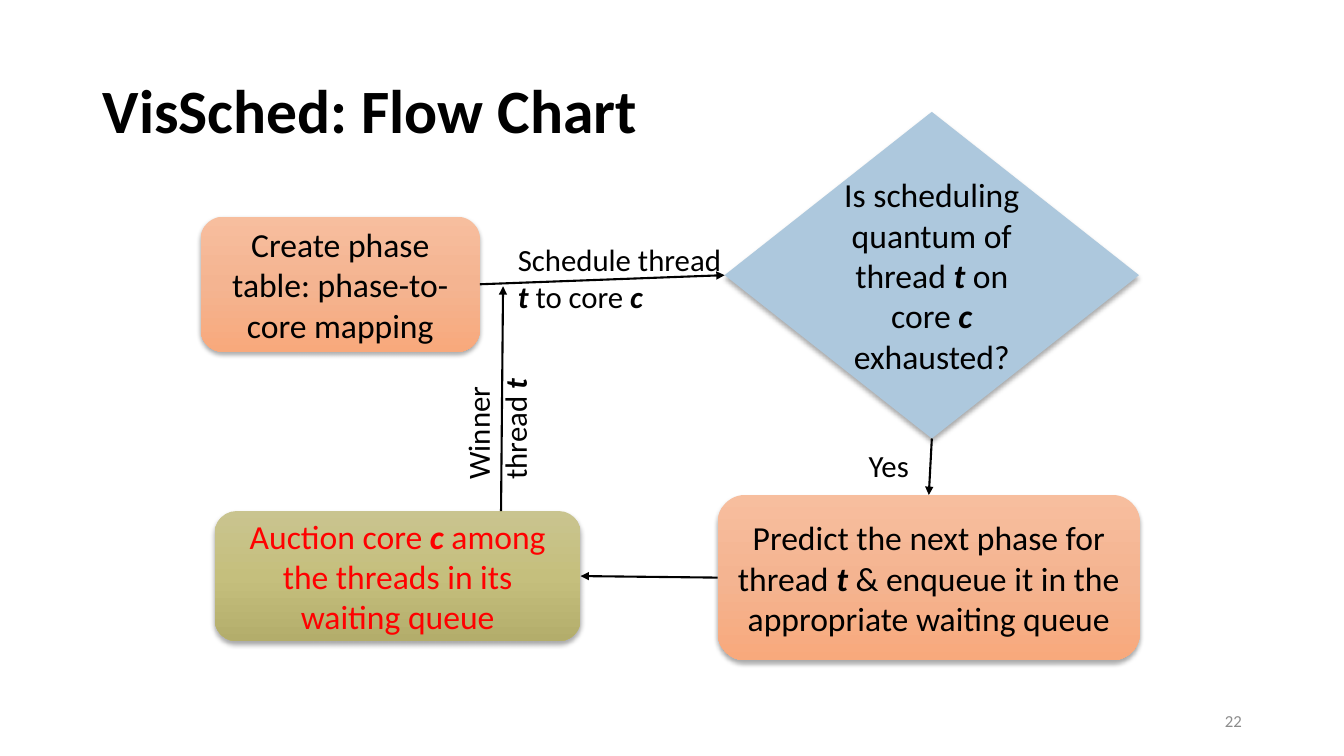
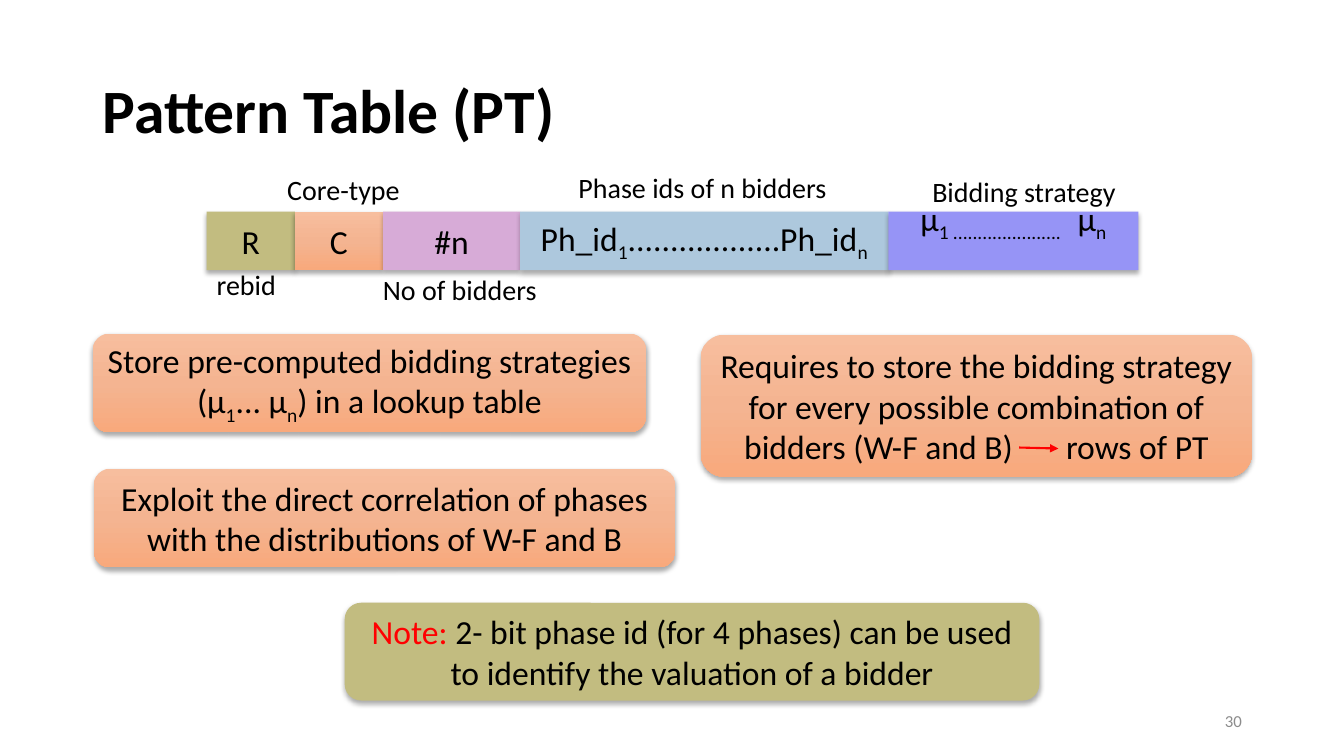
from copy import deepcopy
from dataclasses import dataclass

from pptx import Presentation
from pptx.dml.color import RGBColor
from pptx.enum.shapes import MSO_CONNECTOR, MSO_SHAPE
from pptx.enum.text import MSO_ANCHOR, MSO_AUTO_SIZE, PP_ALIGN
from pptx.oxml import parse_xml
from pptx.oxml.ns import nsdecls, qn
from pptx.util import Inches, Pt

# Colours: a fill is one colour, or three for a vertical gradient
BLACK = RGBColor(0x00, 0x00, 0x00)
RED = RGBColor(0xFF, 0x00, 0x00)
GREY = RGBColor(0x8C, 0x8C, 0x8C)
BLUE = RGBColor(0xAD, 0xC8, 0xDD)
OLIVE = RGBColor(0xC2, 0xBC, 0x80)
PINK = RGBColor(0xD7, 0xAB, 0xD7)
VIOLET = RGBColor(0x96, 0x94, 0xF6)
ORANGE_SHADES = (RGBColor(0xF7, 0xBE, 0x9E), RGBColor(0xF4, 0xB4, 0x91), RGBColor(0xF8, 0xA9, 0x7C))
OLIVE_SHADES = (RGBColor(0xC9, 0xC4, 0x8F), RGBColor(0xC5, 0xBF, 0x7D), RGBColor(0xB3, 0xAD, 0x6B))

# Connection sites of a shape
TOP, LEFT, BOTTOM, RIGHT = range(4)

SHADOW = (
    f'<a:outerShdw {nsdecls("a")} blurRad="44450" dist="27940" dir="5400000" algn="ctr" rotWithShape="0">'
    '<a:srgbClr val="000000"><a:alpha val="32000"/></a:srgbClr></a:outerShdw>'
)
ARROWHEAD = f'<a:tailEnd {nsdecls("a")} type="triangle"/>'
NO_EFFECTS = f'<a:effectLst {nsdecls("a")}/>'


@dataclass
class Run:
    text: str
    variable: bool = False
    subscript: bool = False
    color: RGBColor = None
    spacing: float = 0


def variable(text):
    return Run(text, variable=True)


def subscript(text):
    return Run(text, subscript=True)


def gap(points):
    """One space widened by the given number of points."""
    return Run(" ", spacing=points)


class Deck:
    """Holds the style and the current slide; lengths are percent of the slide."""

    FONT = "Calibri"
    TITLE, BODY, LABEL, CAPTION, NUMBER = 44, 24, 22, 20, 12

    def __init__(self):
        self.presentation = Presentation()
        self.presentation.slide_width = Inches(13.33)
        self.presentation.slide_height = Inches(7.5)
        self.slide = None

    def x(self, share):
        return round(self.presentation.slide_width * share / 100)

    def y(self, share):
        return round(self.presentation.slide_height * share / 100)

    def frame(self, left, top, width, height):
        return self.x(left), self.y(top), self.x(width), self.y(height)

    def new_slide(self, title, number):
        self.slide = self.presentation.slides.add_slide(self.presentation.slide_layouts[6])
        heading = self.text((6.9, 5.33, 86.25, 19.33), [[title]], self.TITLE, anchor=MSO_ANCHOR.MIDDLE)
        paragraph = heading.text_frame.paragraphs[0]
        paragraph.line_spacing = 0.9
        paragraph.runs[0].font.bold = True
        self.text((70.65, 92.67, 22.5, 5.33), [[number]], self.NUMBER, GREY,
                  PP_ALIGN.RIGHT, MSO_ANCHOR.MIDDLE)

    def add_paragraphs(self, text_frame, paragraphs, size, color, align):
        for index, runs in enumerate(paragraphs):
            paragraph = text_frame.paragraphs[0] if index == 0 else text_frame.add_paragraph()
            paragraph.alignment = align
            for item in runs:
                style = item if isinstance(item, Run) else Run(item)
                run = paragraph.add_run()
                run.text = style.text
                font = run.font
                font.name, font.size = self.FONT, Pt(size)
                font.color.rgb = style.color or color
                if style.variable:
                    font.bold = font.italic = True
                properties = run._r.get_or_add_rPr()
                if style.subscript:
                    properties.set("baseline", "-25000")
                if style.spacing:
                    properties.set("spc", str(round(style.spacing * 100)))

    def text(self, place, paragraphs, size, color=BLACK, align=PP_ALIGN.LEFT, anchor=MSO_ANCHOR.TOP):
        box = self.slide.shapes.add_textbox(*self.frame(*place))
        box.text_frame.word_wrap = True
        box.text_frame.vertical_anchor = anchor
        self.add_paragraphs(box.text_frame, paragraphs, size, color, align)
        return box

    def label(self, place, runs, rotation=0):
        box = self.text(place, [runs], self.LABEL)
        box.text_frame.auto_size = MSO_AUTO_SIZE.SHAPE_TO_FIT_TEXT
        box.rotation = rotation

    def caption(self, left, top, width, words):
        box = self.text((left, top, width, 5.87), [[words]], self.CAPTION)
        box.text_frame.word_wrap = False
        box.text_frame.auto_size = MSO_AUTO_SIZE.SHAPE_TO_FIT_TEXT

    def paint(self, shape, fill):
        if isinstance(fill, RGBColor):
            shape.fill.solid()
            shape.fill.fore_color.rgb = fill
            return
        shape.fill.gradient()
        shape.fill.gradient_angle = 270
        stop_list = shape.element.spPr.find(f'{qn("a:gradFill")}/{qn("a:gsLst")}')
        stop_list.insert(1, deepcopy(stop_list[0]))
        for stop, position, shade in zip(shape.fill.gradient_stops, (0, 0.5, 1), fill):
            stop.position = position
            stop.color.rgb = shade

    def box(self, place, paragraphs, fill, kind=MSO_SHAPE.ROUNDED_RECTANGLE, color=BLACK):
        shape = self.slide.shapes.add_shape(kind, *self.frame(*place))
        self.paint(shape, fill)
        shape.line.fill.background()
        shape.shadow.inherit = False
        shape.element.spPr.find(qn("a:effectLst")).append(parse_xml(SHADOW))
        shape.text_frame.word_wrap = True
        shape.text_frame.vertical_anchor = MSO_ANCHOR.MIDDLE
        self.add_paragraphs(shape.text_frame, paragraphs, self.BODY, color, PP_ALIGN.CENTER)
        return shape

    def arrow(self, start=(0, 0), end=(0, 0), color=BLACK):
        connector = self.slide.shapes.add_connector(
            MSO_CONNECTOR.STRAIGHT, self.x(start[0]), self.y(start[1]), self.x(end[0]), self.y(end[1]))
        connector.line.color.rgb = color
        connector.line.width = Pt(1.5)
        connector.line._get_or_add_ln().append(parse_xml(ARROWHEAD))
        connector._element.spPr.append(parse_xml(NO_EFFECTS))
        return connector

    def join(self, source, source_side, target, target_side):
        connector = self.arrow()
        connector.begin_connect(source, source_side)
        connector.end_connect(target, target_side)


def flow_chart(deck):
    deck.new_slide("VisSched: Flow Chart", "22")

    # Steps
    create = deck.box((14.93, 28.67, 20.78, 17.87),
                      [["Create phase table: phase-to-core mapping"]], ORANGE_SHADES)
    auction = deck.box((15.98, 67.6, 27.22, 17.2),
                       [["Auction core ", variable("c"), " among the threads in its waiting queue"]],
                       OLIVE_SHADES, color=RED)
    predict = deck.box((53.4, 65.47, 31.42, 21.87),
                       [["Predict the next phase for thread ", variable("t "),
                         "& enqueue it in the appropriate waiting queue"]], ORANGE_SHADES)
    decision = deck.box((53.92, 14.8, 30.83, 43.2),
                        [["Is scheduling"],
                         ["quantum of thread ", variable("t"), " on core ", variable("c"), " exhausted?"]],
                        BLUE, MSO_SHAPE.DIAMOND)

    # Arrows
    deck.join(create, RIGHT, decision, LEFT)
    deck.join(decision, BOTTOM, predict, TOP)
    deck.join(predict, LEFT, auction, RIGHT)
    deck.arrow((37.28, 67.6), (37.43, 37.87))

    # Arrow labels
    deck.label((37.8, 31.2, 17.03, 11.2),
               ["Schedule thread ", variable("t"), " to core ", variable("c")])
    deck.label((63.9, 58.4, 5.55, 6.27), ["Yes"])
    deck.label((31.8, 50, 10.28, 11.2), ["Winner thread ", variable("t")], rotation=270)


def pattern_table(deck):
    deck.new_slide("Pattern Table (PT)", "30")

    # Fields of one table row, laid side by side
    fields = (
        (6.56, OLIVE, ["R"]),
        (6.56, ORANGE_SHADES, ["C"]),
        (10.2, PINK, ["#n"]),
        (27.4, BLUE, ["Ph_id", subscript("1"), "..................Ph_id", subscript("n")]),
        (18.6, VIOLET, ["μ", subscript("1 ......................"), gap(6.3), "μ", subscript("n")]),
    )
    left = 15.38
    for width, fill, runs in fields:
        field = deck.box((left, 28, width, 7.73), [runs], fill, MSO_SHAPE.RECTANGLE)
        left += width
    # The strategies sit high in the last field
    field.text_frame.margin_bottom = Inches(0.45)

    # Field captions
    for caption in (
        (20.63, 22.13, 9.98, "Core-type"),
        (15.38, 34.67, 6, "rebid"),
        (27.75, 35.33, 13.05, "No of bidders"),
        (42.3, 21.87, 20.18, "Phase ids of n bidders"),
        (68.63, 22.4, 15.3, "Bidding strategy"),
    ):
        deck.caption(*caption)

    # Remarks
    deck.box((6.9, 44.13, 41.18, 13.07),
             [["Store pre-computed bidding strategies (μ", subscript("1"), "... μ", subscript("n"),
               ") in a lookup table"]], ORANGE_SHADES)
    deck.box((52.13, 44.27, 41.03, 18.8),
             [["Requires to store the bidding strategy for every possible combination of "
               "bidders (W-F and B)", gap(32.5), "rows of PT"]], ORANGE_SHADES)
    deck.box((6.98, 62, 43.28, 13.07),
             [["Exploit the direct correlation of phases with the distributions of W-F and B"]],
             ORANGE_SHADES)
    deck.box((25.65, 79.73, 51.68, 12.93),
             [[Run("Note: ", color=RED),
               "2- bit phase id (for 4 phases) can be used to identify the valuation of a bidder"]], OLIVE)
    deck.arrow((75.83, 59.2), (78.75, 59.33), RED)


def main():
    deck = Deck()
    flow_chart(deck)
    pattern_table(deck)
    deck.presentation.save("out.pptx")


if __name__ == "__main__":
    main()
